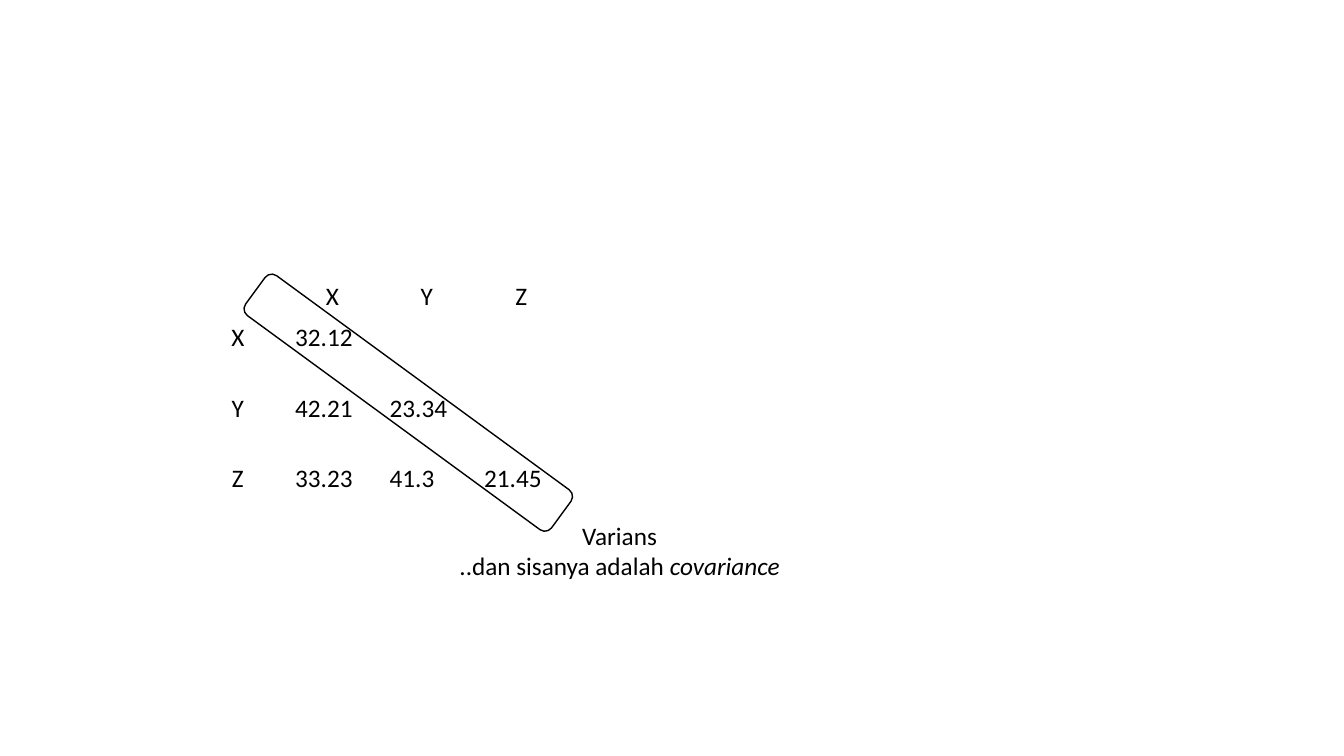
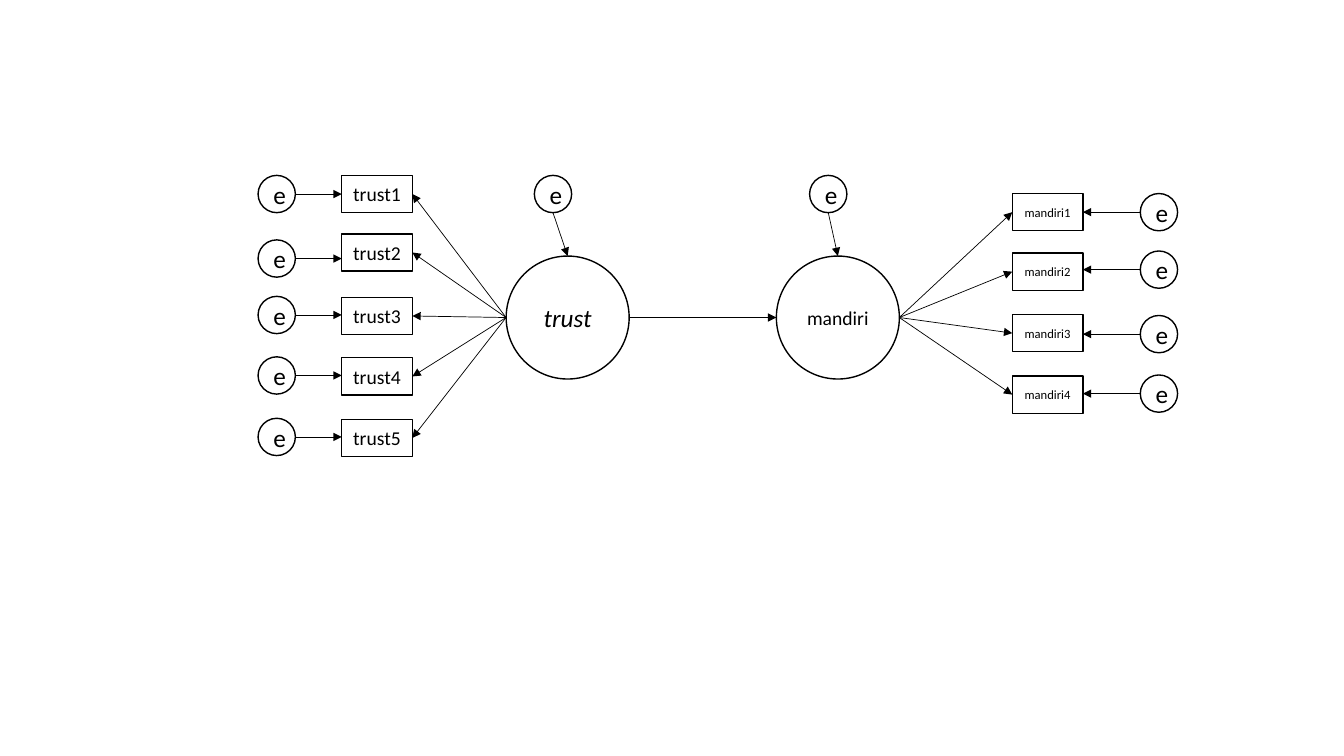
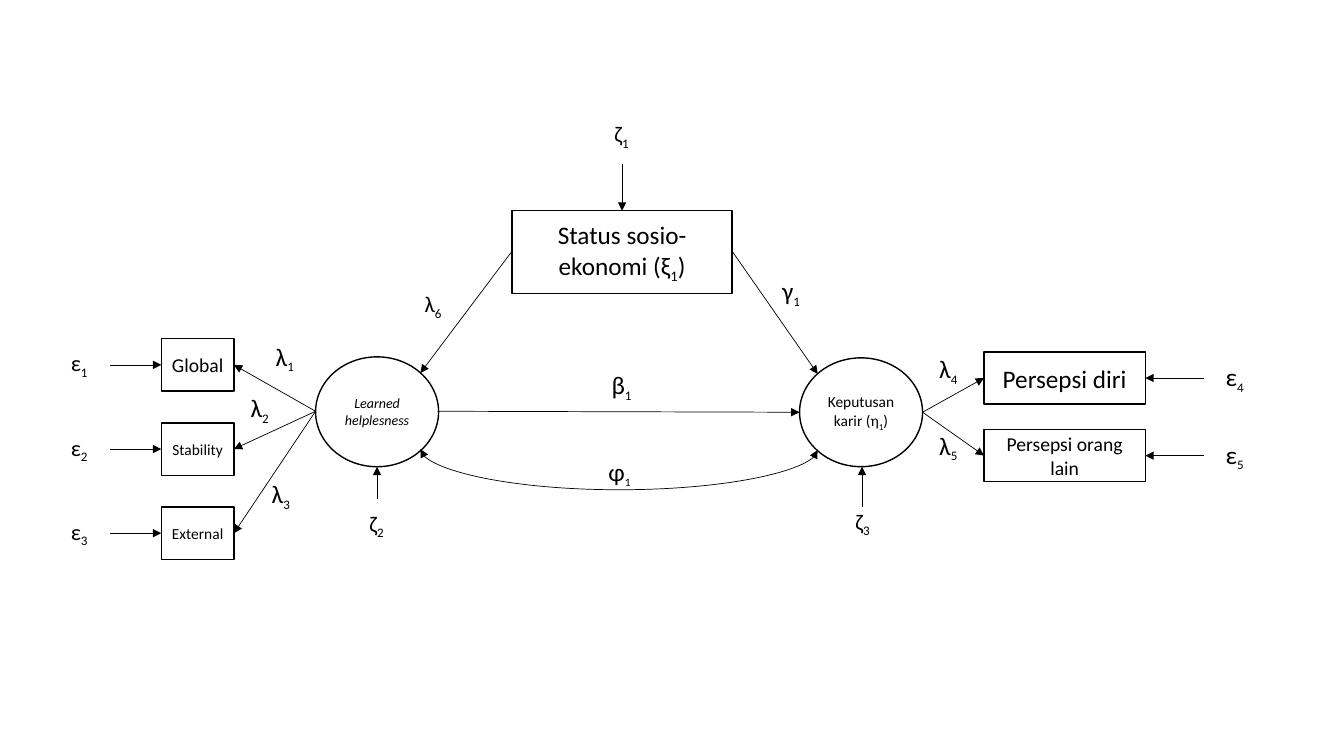
import pptx
import pptx.util
import pptx.dml.color
import pptx.enum.shapes
import pptx.enum.text
import pptx.oxml.ns
import lxml.etree
from dataclasses import dataclass

Inches, Pt = pptx.util.Inches, pptx.util.Pt
Kind = pptx.enum.shapes.MSO_SHAPE
Link = pptx.enum.shapes.MSO_CONNECTOR
Align = pptx.enum.text.PP_ALIGN
Anchor = pptx.enum.text.MSO_ANCHOR
qn = pptx.oxml.ns.qn


@dataclass(frozen=True)
class Theme:
    font: str = "Calibri"
    ink: pptx.dml.color.RGBColor = pptx.dml.color.RGBColor(0, 0, 0)
    big: int = 18
    sub: int = 16
    mid: int = 14
    low: int = 11
    fine: int = 10
    tiny: int = 9
    edge: float = 1
    thin: float = 0.5


T = Theme()


# Shared parts: a run is (text, size, style), style being "", "i" or "sub"
def write(para, runs, align=Align.CENTER):
    para.alignment = align
    for text, size, style in runs:
        run = para.add_run()
        run.text = text
        font = run.font
        font.name, font.size = T.font, Pt(size)
        font.color.rgb = T.ink
        if style == "i":
            font.italic = True
        elif style == "sub":
            run._r.get_or_add_rPr().set("baseline", "-25000")


def plain(text, size=T.big, style=""):
    return [(text, size, style)]


def sign(letter, index, size=T.big, sub=T.sub):
    return [(letter, size, ""), (index, sub, "sub")]


def shape(slide, kind, box, runs=(), line=True):
    item = slide.shapes.add_shape(kind, *map(Inches, box))
    item.shadow.inherit = False
    item.fill.background()
    if line:
        item.line.color.rgb = T.ink
        item.line.width = Pt(T.edge)
    else:
        item.line.fill.background()
    frame = item.text_frame
    frame.word_wrap = True
    frame.vertical_anchor = Anchor.MIDDLE
    write(frame.paragraphs[0], runs)
    return item


def arrow(slide, start, end, kind=Link.STRAIGHT, ends=("tailEnd",)):
    item = slide.shapes.add_connector(kind, *map(Inches, start + end))
    item.line.color.rgb = T.ink
    item.line.width = Pt(T.thin)
    line = item.line._get_or_add_ln()
    for name in ends:
        lxml.etree.SubElement(line, qn("a:" + name), type="triangle")
    lxml.etree.SubElement(item._element.spPr, qn("a:effectLst"))
    return item


def label(slide, x, y, runs, w=0.61, h=0.52):
    shape(slide, Kind.OVAL, (x, y, w, h), runs, line=False)


# Column of indicators with their error terms, on one side of a hub
def column(slide, box, hub, rows, tag, dot, ring=True):
    x, y, w, _ = box
    left = hub[0] > x
    tagx = x + w - tag[0] if left else x
    dotx = x if left else x + w - dot[0]
    inner, outer = (tagx + tag[0], tagx) if left else (tagx, tagx + tag[0])
    edge = dotx + dot[0] if left else dotx
    for runs, top, error, level in rows:
        shape(slide, Kind.RECTANGLE, (tagx, y + top, *tag), runs)
        shape(slide, Kind.OVAL, (dotx, y + level, *dot), error, ring)
        arrow(slide, hub, (inner, y + top + tag[1] / 2))
        mid = y + level + dot[1] / 2
        arrow(slide, (edge, mid), (outer, mid))


# Slide 1: covariance matrix
def matrix(slide, box):
    x, y, w, h = box
    cells = [["", "X", "Y", "Z"],
             ["X", "32.12", "", ""],
             ["Y", "42.21", "23.34", ""],
             ["Z", "33.23", "41.3", "21.45"]]
    head = 0.41
    grid = slide.shapes.add_table(4, 4, *map(Inches, box)).table
    grid.first_row = grid.horz_banding = False
    for col in grid.columns:
        col.width = Inches(w / 4)
    for r, texts in enumerate(cells):
        grid.rows[r].height = Inches((h - head) / 3 if r else head)
        for c, text in enumerate(texts):
            cell = grid.cell(r, c)
            cell.fill.background()
            if text:
                side = Align.LEFT if r and c else Align.CENTER
                write(cell.text_frame.paragraphs[0], plain(text), side)
    # Ring around the diagonal
    ring = shape(slide, Kind.ROUNDED_RECTANGLE,
                 (x + 0.28, y + 1.01, 3.76, 0.49))
    ring.rotation = 36.2


def caption(slide, box):
    frame = slide.shapes.add_textbox(*map(Inches, box)).text_frame
    frame.word_wrap = True
    frame.vertical_anchor = Anchor.MIDDLE
    write(frame.paragraphs[0], plain("Varians"))
    write(frame.add_paragraph(), plain("..dan sisanya adalah ")
          + plain("covariance", style="i"))


# Slide 2: latent variable with its error above
def latent(slide, box, runs, shift):
    x, y, w, _ = box
    dot = 0.37
    shape(slide, Kind.OVAL, box, runs)
    shape(slide, Kind.OVAL, (x + shift, y - 0.8, dot, dot), plain("e"))
    arrow(slide, (x + shift + dot / 2, y - 0.8 + dot), (x + w / 2, y))


def trust(slide, box):
    x, y, w, h = box
    mid, size = y + 1.41, 1.22
    one, two = x + 2.46, x + 5.14
    top = mid - size / 2
    latent(slide, (one, top, size, size), plain("trust", style="i"), 0.28)
    latent(slide, (two, top, size, size), plain("mandiri", T.mid), 0.33)
    arrow(slide, (one + size, mid), (two, mid))

    def rows(name, text, tops, levels):
        return [(plain(f"{name}{n}", text), a, plain("e"), b)
                for n, (a, b) in enumerate(zip(tops, levels), 1)]

    tag, dot = (0.7, 0.37), (0.37, 0.37)
    column(slide, (x, y, 1.53, h), (one, mid),
           rows("trust", T.mid, (0, 0.58, 1.21, 1.81, 2.42),
                (0, 0.64, 1.2, 1.8, 2.41)), tag, dot)
    column(slide, (x + w - 1.64, y + 0.18, 1.64, 2.18), (two + size, mid),
           rows("mandiri", T.tiny, (0, 0.59, 1.2, 1.81),
                (0, 0.57, 1.21, 1.8)), tag, dot)


# Slide 3: left and right measurement models
def helpless(slide, box):
    x, y, w, h = box
    hub = (x + 2.65, y + 0.72)
    names = [("Global", T.mid), ("Stability", T.low), ("External", T.low)]
    rows = [(plain(*name), n * 0.835, sign("ε", str(n + 1), T.sub), n * 0.835)
            for n, name in enumerate(names)]
    column(slide, (x, y, 1.84, h), hub, rows, (0.72, 0.52), (0.61, 0.52),
           ring=False)
    shape(slide, Kind.OVAL, (*hub[:1], y + 0.18, 1.22, 1.09),
          plain("Learned helplesness", T.fine, "i"))
    label(slide, x + 3, y + 1.59, sign("ζ", "2", T.sub), 0.51)
    arrow(slide, (x + 3.26, y + 1.59), (x + 3.26, y + 1.27))
    spots = [(2.04, -0.07), (1.79, 0.44), (2, 1.29)]
    for n, (dx, dy) in enumerate(spots, 1):
        label(slide, x + dx, y + dy, sign("λ", str(n)))


def career(slide, box):
    x, y, w, h = box
    hub = (x + 1.22, y + 0.54)
    shape(slide, Kind.OVAL, (x, y, 1.22, 1.08),
          plain("Keputusan karir (η", T.low)
          + [("1", T.low, "sub"), (")", T.low, "")])
    names = [("Persepsi diri", T.big), ("Persepsi orang lain", T.mid)]
    rows = [(plain(*name), n * 0.77, sign("ε", str(n + 4)), n * 0.77)
            for n, name in enumerate(names)]
    column(slide, (x + 1.83, y - 0.06, w - 1.83, h), hub, rows,
           (1.6, 0.52), (0.61, 0.52), ring=False)
    label(slide, x + 0.37, y + 1.38, sign("ζ", "3", T.sub), 0.51)
    arrow(slide, (x + 0.62, y + 1.48), (x + 0.62, y + 1.08))
    for n in range(2):
        label(slide, x + 1.17, y - 0.14 + n * 0.76, sign("λ", str(n + 4)))


# Slide 3: social status and the paths between the two models
def status(slide, box):
    x, y, w, h = box
    mid = x + w / 2
    shape(slide, Kind.RECTANGLE, box, plain("Status sosio-ekonomi (ξ")
          + [("1", T.big, "sub"), (")", T.big, "")])
    label(slide, mid - 0.26, y - 1.03, sign("ζ", "1", T.sub), 0.51, 0.57)
    arrow(slide, (mid, y - 0.46), (mid, y))
    arrow(slide, (x, y + 0.4), (x - 0.91, y + 1.61))
    arrow(slide, (x + w, y + 0.4), (x + w + 0.85, y + 1.62))
    label(slide, x - 1.09, y + 0.68, sign("λ", "6", T.sub))
    label(slide, x + w + 0.28, y + 0.55, sign("γ", "1"))


def paths(slide, box):
    x, y, w, h = box
    arrow(slide, (x, y), (x + w, y + 0.01))
    label(slide, x + 1.52, y - 0.51, sign("β", "1"))
    # Curve sagging below its two ends: a steep connector, turned
    mid, low, half = x + w / 2, y + 0.38, 1.97
    curve = arrow(slide, (mid + 0.01, low - half), (mid, low + half),
                  Link.CURVE, ("headEnd", "tailEnd"))
    curve._element.spPr.xfrm.set("rot", "16200000")
    geom = curve._element.spPr.find(qn("a:prstGeom"))
    values = geom.find(qn("a:avLst"))
    if values is None:
        values = lxml.etree.SubElement(geom, qn("a:avLst"))
    lxml.etree.SubElement(values, qn("a:gd"), name="adj1",
                          fmla="val 4100000")
    label(slide, x + 1.5, y + 0.35, sign("φ", "1", T.big, T.mid))


# Build the deck
deck = pptx.Presentation()
deck.slide_width, deck.slide_height = Inches(13.33), Inches(7.5)
pages = [
    [(matrix, (1.89, 2.74, 3.75, 2.51)), (caption, (4.39, 5.16, 3.51, 0.6))],
    [(trust, (2.56, 1.74, 9.12, 2.79))],
    [(status, (5.08, 2.09, 2.18, 0.82)), (helpless, (0.48, 3.36, 3.87, 2.19)),
     (career, (7.93, 3.55, 4.62, 1.9)), (paths, (4.34, 4.08, 3.59, 0.79))],
]
for parts in pages:
    slide = deck.slides.add_slide(deck.slide_layouts[6])
    for draw, box in parts:
        draw(slide, box)
deck.save("out.pptx")
